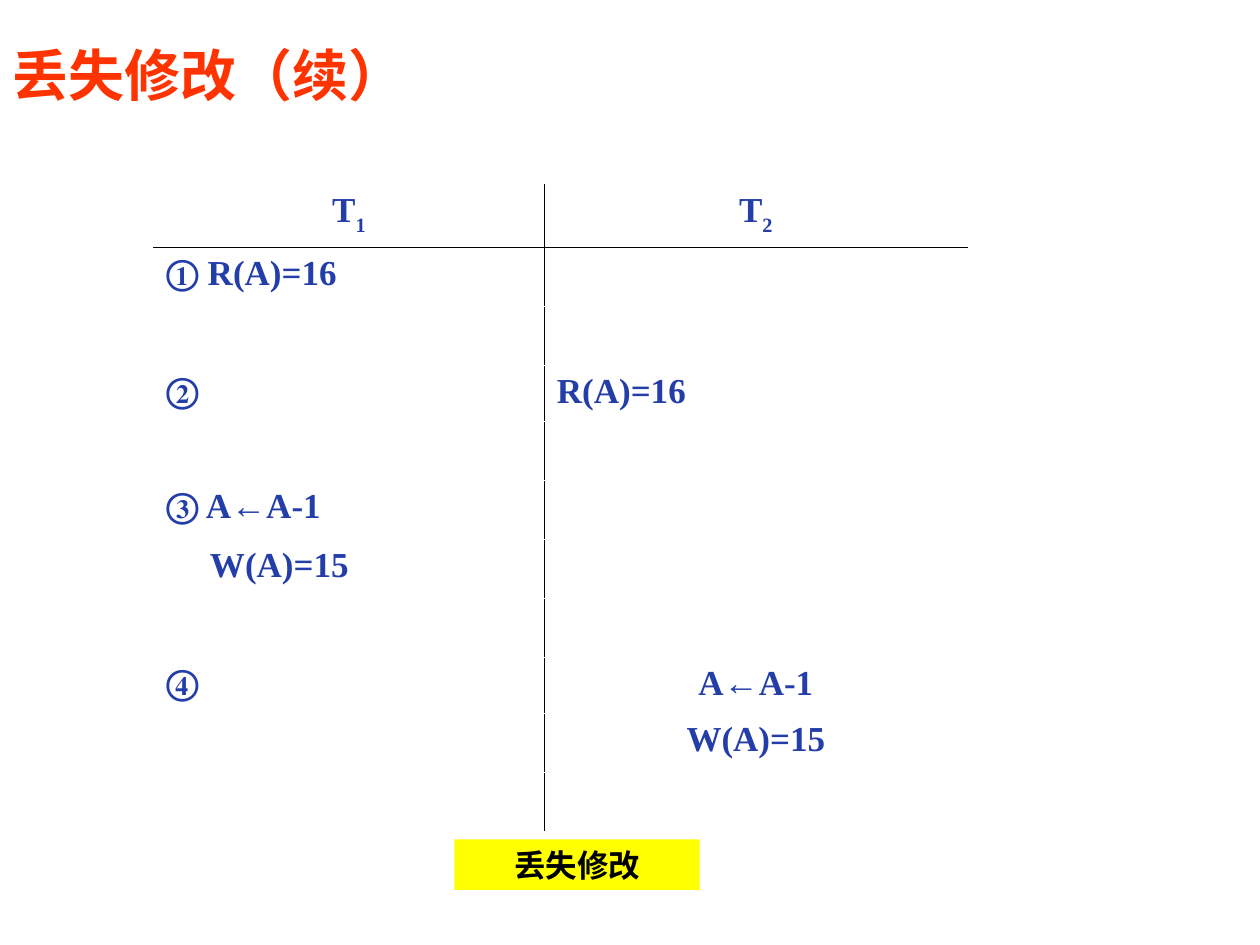
import pptx
import pptx.util
import pptx.dml.color
import pptx.enum.text
import pptx.enum.shapes
import pptx.oxml
import pptx.oxml.ns

Pt = pptx.util.Pt
ALIGN = pptx.enum.text.PP_ALIGN
ANCHOR = pptx.enum.text.MSO_ANCHOR

SERIF, SANS = "Times New Roman", "Noto Sans CJK SC"
BLUE, BLACK, WHITE, ORANGE, YELLOW = "233DA9", "000000", "FFFFFF", "FF3300", "FFFF00"

TITLE = "丢失修改（续）"
CONCLUSION = "丢失修改"
HEADERS = [("T", "1"), ("T", "2")]
STEPS = [
    ("① R(A)=16", ""),
    ("", ""),
    ("②", "R(A)=16"),
    ("", ""),
    ("③ A←A-1", ""),
    ("W(A)=15", ""),
    ("", ""),
    ("④", "A←A-1"),
    ("", "W(A)=15"),
    ("", ""),
]
CENTRED_FROM = 8  # steps from here on are centred in the second column
COLUMN_WIDTHS = [223.2, 241.9]
HEADER_HEIGHT, FULL_ROW, OPEN_ROW = 36, 32, 33.75
HANGING, CONTINUATION = 27, 25
TABLE_LEFT, TABLE_TOP = 87.8, 105.4

CELL_FONT = {"size": Pt(20), "bold": True, "name": SERIF}


def rgb(value):
    return pptx.dml.color.RGBColor.from_string(value)


def add_span(para, text, colour, font):
    span = para.add_run()
    span.text = text
    for name, value in font.items():
        setattr(span.font, name, value)
    span.font.color.rgb = rgb(colour)
    east_asian = pptx.oxml.parse_xml(
        '<a:ea xmlns:a="http://schemas.openxmlformats.org/drawingml/2006/main" '
        f'typeface="{SANS}"/>')
    span.font._element.find(pptx.oxml.ns.qn("a:latin")).addnext(east_asian)
    return span


def set_indent(para, left, first):
    properties = para._p.get_or_add_pPr()
    properties.set("marL", str(Pt(left)))
    properties.set("indent", str(Pt(first)))


def set_borders(cell, colours):
    """Draw the left, right, top and bottom borders; None leaves a side open."""
    properties = cell._tc.get_or_add_tcPr()
    for side, colour in zip("LRTB", colours):
        fill = (f'<a:solidFill><a:srgbClr val="{colour}"/></a:solidFill>'
                if colour else "<a:noFill/>")
        properties.append(pptx.oxml.parse_xml(
            f'<a:ln{side} xmlns:a="http://schemas.openxmlformats.org/drawingml/2006/main" '
            f'w="{Pt(0.45)}">{fill}</a:ln{side}>'))


def add_title(page):
    box = page.shapes.add_textbox(Pt(0), Pt(20.2), Pt(581.8), Pt(44.6))
    frame = box.text_frame
    frame.word_wrap = True
    frame.vertical_anchor = ANCHOR.MIDDLE
    add_span(frame.paragraphs[0], TITLE, ORANGE,
             {"size": Pt(32), "bold": True, "name": SANS})


def add_schedule(page):
    heights = [HEADER_HEIGHT] + [FULL_ROW if all(step) else OPEN_ROW for step in STEPS]
    table = page.shapes.add_table(
        len(heights), len(COLUMN_WIDTHS), Pt(TABLE_LEFT), Pt(TABLE_TOP),
        Pt(sum(COLUMN_WIDTHS)), Pt(sum(heights))).table
    table.first_row = table.horz_banding = False
    for column, width in zip(table.columns, COLUMN_WIDTHS):
        column.width = Pt(width)
    for row, height in zip(table.rows, heights):
        row.height = Pt(height)

    for i, row in enumerate([HEADERS] + STEPS):
        for j, content in enumerate(row):
            cell = table.cell(i, j)
            sides = (WHITE, BLACK) if j == 0 else (BLACK, None)
            set_borders(cell, (*sides, BLACK if i == 1 else WHITE,
                               BLACK if i == 0 else WHITE))
            cell.fill.background()
            para = cell.text_frame.paragraphs[0]
            if not content:
                para.font.size = Pt(18)
                continue
            continued = j == 0 and content[0] == "W"
            set_indent(para, *((CONTINUATION, 0) if continued else (HANGING, -HANGING)))
            if i == 0 or (j == 1 and i >= CENTRED_FROM):
                para.alignment = ALIGN.CENTER
            if i == 0:
                letter, index = content
                add_span(para, letter, BLUE, CELL_FONT)
                span = add_span(para, index, BLUE, CELL_FONT)
                span.font._element.set("baseline", "-30000")
            else:
                add_span(para, content, BLUE, CELL_FONT)


def add_conclusion(page):
    box = page.shapes.add_shape(pptx.enum.shapes.MSO_SHAPE.RECTANGLE,
                                Pt(259.7), Pt(479.7), Pt(140.2), Pt(28.8))
    box.shadow.inherit = False
    box.fill.solid()
    box.fill.fore_color.rgb = rgb(YELLOW)
    box.line.fill.background()
    frame = box.text_frame
    frame.word_wrap = False
    frame.vertical_anchor = ANCHOR.MIDDLE
    para = frame.paragraphs[0]
    para.alignment = ALIGN.CENTER
    add_span(para, CONCLUSION, BLACK, {"size": Pt(18), "bold": True, "name": SERIF})


def main():
    deck = pptx.Presentation()
    deck.slide_width, deck.slide_height = Pt(720), Pt(540)
    page = deck.slides.add_slide(deck.slide_layouts[6])
    add_title(page)
    add_schedule(page)
    add_conclusion(page)
    deck.save("out.pptx")


if __name__ == "__main__":
    main()
